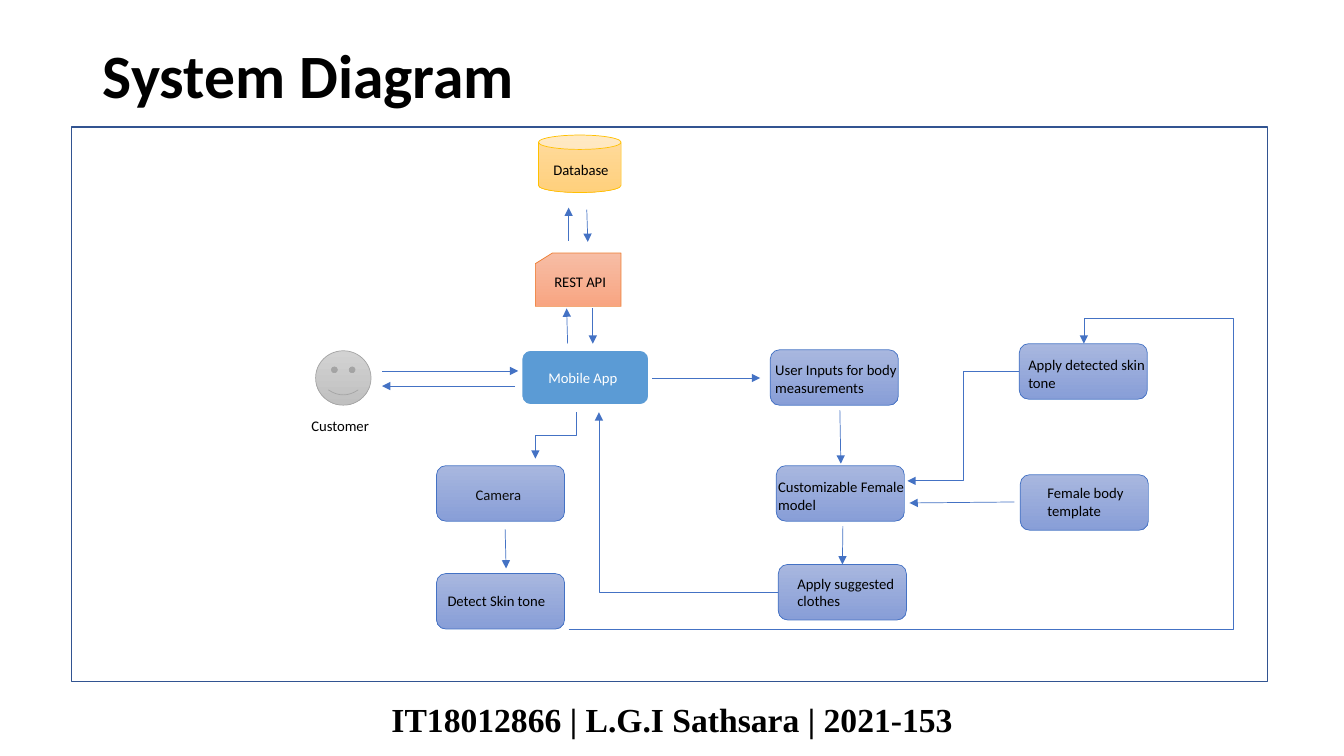
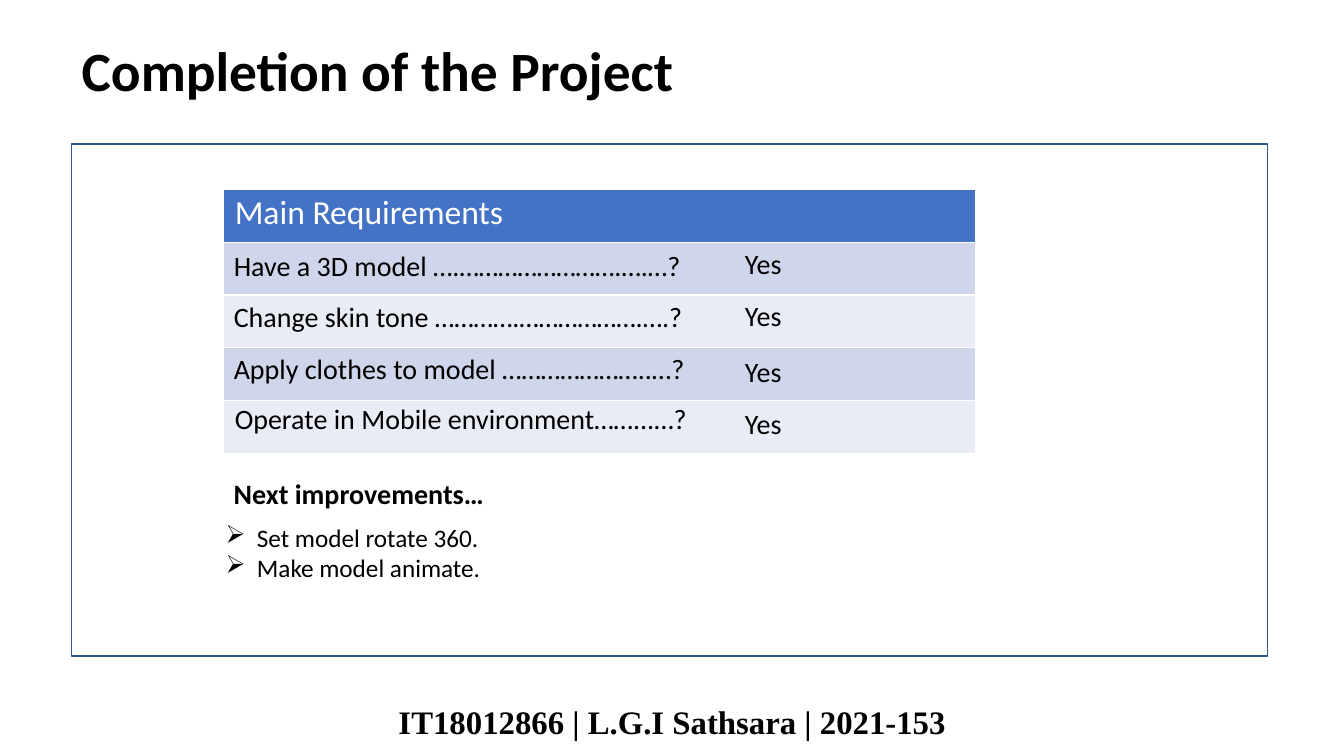
from lxml.etree import SubElement
from pptx import Presentation
from pptx.dml.color import RGBColor
from pptx.enum.shapes import MSO_CONNECTOR, MSO_SHAPE
from pptx.enum.text import MSO_ANCHOR, MSO_AUTO_SIZE, PP_ALIGN
from pptx.oxml.ns import qn
from pptx.util import Inches, Pt

COLORS = {
    "black": "000000", "ink": "0D0D0D", "white": "FFFFFF", "frame": "325491",
    "blue": "4472C4", "step_top": "A8B7DF", "step_bottom": "889ED7",
    "app": "5B9BD5", "gold": "FFC000", "gold_top": "FFDB9E", "gold_bottom": "FFD07C",
    "orange": "ED7D31", "orange_top": "F7BDA5", "orange_bottom": "F8A582",
    "gray": "A5A5A5", "gray_top": "D2D2D2", "gray_bottom": "C0C0C0",
    "band_dark": "CFD5EA", "band_light": "E9EBF5",
}
FOOTER = "IT18012866 | L.G.I Sathsara | 2021-153"

ACTORS = [
    (MSO_SHAPE.CAN, (5.34, 1.34, 0.82, 0.57), ("gold_top", "gold_bottom"), "gold", 0.5),
    (MSO_SHAPE.FLOWCHART_CARD, (5.31, 2.51, 0.85, 0.53), ("orange_top", "orange_bottom"), "orange", 0.5),
    (MSO_SHAPE.ROUNDED_RECTANGLE, (5.17, 3.47, 1.27, 0.55), ("app",), "white", 1.5),
    (MSO_SHAPE.SMILEY_FACE, (3.13, 3.48, 0.55, 0.54), ("gray_top", "gray_bottom"), "gray", 0.5),
]
STEP_SIZE = (1.27, 0.55)
STEPS = {
    "Camera": (4.33, 4.62),
    "Detect Skin tone": (4.33, 5.69),
    "User Inputs for body measurements": (7.64, 3.47),
    "Customizable Female model": (7.7, 4.62),
    "Apply suggested clothes": (7.72, 5.6),
    "Female body template": (10.12, 4.71),
    "Apply detected skin tone": (10.11, 3.41),
}
LABELS = [
    ("Database", (5.39, 1.55, 0.84, 0.28), "black"),
    ("REST API", (5.4, 2.66, 0.84, 0.28), "black"),
    ("Mobile App", (5.34, 3.61, 1.04, 0.28), "white"),
    ("Customer", (2.99, 4.09, 0.84, 0.28), "black"),
    ("Camera", (4.62, 4.77, 1.04, 0.28), "ink"),
    ("Detect Skin tone", (4.34, 5.82, 1.21, 0.28), "black"),
    ("User Inputs for body measurements", (7.59, 3.53, 1.51, 0.41), "black"),
    ("Customizable Female model", (7.62, 4.69, 1.51, 0.41), "black"),
    ("Female body template", (10.29, 4.75, 1.51, 0.41), "black"),
    ("Apply suggested clothes", (7.81, 5.65, 1.51, 0.41), "black"),
    ("Apply detected skin tone", (10.1, 3.48, 1.51, 0.41), "black"),
]
STRAIGHT_ARROWS = [
    ((5.82, 2.08), (5.83, 2.4)),
    ((5.64, 2.39), (5.64, 2.06)),
    ((5.88, 3.06), (5.88, 3.41)),
    ((5.63, 3.41), (5.62, 3.06)),
    ((5.01, 5.25), (5.02, 5.64)),
    ((6.47, 3.75), (7.54, 3.75)),
    ((8.33, 4.07), (8.34, 4.6)),
    ((10.06, 4.98), (9.02, 4.99)),
    ((3.79, 3.68), (5.14, 3.68)),
    ((5.11, 3.83), (3.79, 3.83)),
]
BENT_ARROWS = [
    ((5.72, 4.09), (5.31, 4.55), {"starts_down": True}),
    ((7.72, 5.88), (5.94, 4.09), {"preset": "bentConnector2"}),
    ((10.11, 3.68), (9, 4.77), {"bends": (0.5,)}),
    ((5.64, 6.24), (10.75, 3.41), {"preset": "bentConnector4", "bends": (1.29, 1.09)}),
]

REQUIREMENTS = [
    ("Have a 3D model ….…………………….….…?", (2.22, 2.42), 2.4),
    ("Change skin tone ………….……………….….?", (2.22, 2.92), 2.91),
    ("Apply clothes to model …………………..…?", (2.22, 3.44), 3.47),
    ("Operate in Mobile environment……...…?", (2.23, 3.93), 3.98),
]
IMPROVEMENTS = ["Set model rotate 360.", "Make model animate."]


def color(name):
    return RGBColor.from_string(COLORS[name])


def inches(values):
    return [Inches(value) for value in values]


def write(frame, text, size=20, ink="black", font="Calibri", bold=False,
          align=PP_ALIGN.LEFT, spacing=None, bullet=None):
    frame.word_wrap = True
    frame.auto_size = MSO_AUTO_SIZE.NONE
    frame.vertical_anchor = MSO_ANCHOR.TOP
    lines = [text] if isinstance(text, str) else text
    for index, line in enumerate(lines):
        paragraph = frame.add_paragraph() if index else frame.paragraphs[0]
        paragraph.text = line
        paragraph.alignment = align
        if spacing:
            paragraph.line_spacing = spacing
        if bullet:
            properties = paragraph._p.get_or_add_pPr()
            properties.set("marL", str(Inches(0.31)))
            properties.set("indent", str(-Inches(0.31)))
            SubElement(properties, qn("a:buChar")).set("char", bullet)
        paragraph.font.size = Pt(size)
        paragraph.font.name = font
        paragraph.font.bold = bold
        paragraph.font.color.rgb = color(ink)


def add_text(slide, text, box, **style):
    write(slide.shapes.add_textbox(*inches(box)).text_frame, text, **style)


def add_block(slide, kind, box, fill, line, width):
    block = slide.shapes.add_shape(kind, *inches(box))
    block.shadow.inherit = False
    if len(fill) == 1:
        block.fill.solid()
        block.fill.fore_color.rgb = color(fill[0])
    else:
        block.fill.gradient()
        block.fill.gradient_angle = 270
        for stop, name in zip(block.fill.gradient_stops, fill):
            stop.color.rgb = color(name)
    block.line.color.rgb = color(line)
    block.line.width = Pt(width)
    return block


def add_arrow(slide, start, end, kind=MSO_CONNECTOR.STRAIGHT):
    arrow = slide.shapes.add_connector(kind, *inches(start + end))
    arrow.line.color.rgb = color("blue")
    arrow.line.width = Pt(0.5)
    properties = arrow.element.spPr
    SubElement(properties.find(qn("a:ln")), qn("a:tailEnd")).set("type", "triangle")
    SubElement(properties, qn("a:effectLst"))
    return arrow


def add_bent_arrow(slide, start, end, preset="bentConnector3", bends=(), starts_down=False):
    if starts_down:
        middle = [(a + b) / 2 for a, b in zip(start, end)]
        across, down = end[0] - start[0], end[1] - start[1]
        start = (middle[0] - down / 2, middle[1] + across / 2)
        end = (middle[0] + down / 2, middle[1] - across / 2)
    properties = add_arrow(slide, start, end, MSO_CONNECTOR.ELBOW).element.spPr
    if starts_down:
        properties.find(qn("a:xfrm")).set("rot", str(90 * 60000))
    geometry = properties.find(qn("a:prstGeom"))
    geometry.set("prst", preset)
    for number, bend in enumerate(bends, 1):
        guide = SubElement(geometry.find(qn("a:avLst")), qn("a:gd"))
        guide.set("name", f"adj{number}")
        guide.set("fmla", f"val {round(bend * 100000)}")


def add_page(deck, title, title_box, title_size, frame_top, frame_height, footer_size, footer_spacing):
    slide = deck.slides.add_slide(deck.slide_layouts[5])
    heading = slide.shapes.title
    heading.left, heading.top, heading.width, heading.height = inches(title_box)
    write(heading.text_frame, title, size=title_size, bold=True, spacing=0.9)
    add_block(slide, MSO_SHAPE.RECTANGLE, (0.71, frame_top, 11.86, frame_height), ("white",), "frame", 1)
    add_text(slide, FOOTER, (0, 6.96, 13.33, 0.45), size=footer_size, font="Times New Roman",
             bold=True, align=PP_ALIGN.CENTER, spacing=footer_spacing)
    return slide


def build_diagram(deck):
    slide = add_page(deck, "System Diagram", (0.92, 0.4, 11.5, 1.45), 44, 1.26, 5.5, 24, 0.8)
    for actor in ACTORS:
        add_block(slide, *actor)
    steps = {
        name: add_block(slide, MSO_SHAPE.ROUNDED_RECTANGLE, corner + STEP_SIZE,
                        ("step_top", "step_bottom"), "blue", 0.5)
        for name, corner in STEPS.items()
    }
    for start, end in STRAIGHT_ARROWS:
        add_arrow(slide, start, end)
    model_to_clothes = add_arrow(slide, (8.36, 5.22), (8.36, 5.6))
    model_to_clothes.end_connect(steps["Apply suggested clothes"], 0)
    for start, end, route in BENT_ARROWS:
        add_bent_arrow(slide, start, end, **route)
    for label, box, ink in LABELS:
        add_text(slide, label, box, size=10.5, ink=ink)


def build_completion(deck):
    slide = add_page(deck, "Completion of the Project", (0.71, 0.38, 11.5, 0.61), 39.6, 1.43, 5.08, 23.4, 0.9)
    bands = ["blue"] + ["band_dark", "band_light"] * 2
    table = slide.shapes.add_table(len(bands), 1, *inches((2.22, 1.88, 7.46, 2.62))).table
    for row, band in enumerate(bands):
        cell = table.cell(row, 0)
        cell.fill.solid()
        cell.fill.fore_color.rgb = color(band)
    add_text(slide, "Main Requirements", (2.23, 1.84, 6.41, 0.5), size=24, ink="white")
    for requirement, corner, answer_top in REQUIREMENTS:
        add_text(slide, requirement, corner + (4.88, 0.44))
        add_text(slide, "Yes", (7.29, answer_top, 0.89, 0.44))
    add_text(slide, "Next improvements…", (2.22, 4.68, 3.33, 0.44), bold=True)
    add_text(slide, IMPROVEMENTS, (2.14, 5.13, 7.53, 0.71), size=18, bullet="➢")


def main():
    deck = Presentation()
    deck.slide_width, deck.slide_height = inches((13.33, 7.5))
    build_diagram(deck)
    build_completion(deck)
    deck.save("out.pptx")


if __name__ == "__main__":
    main()
